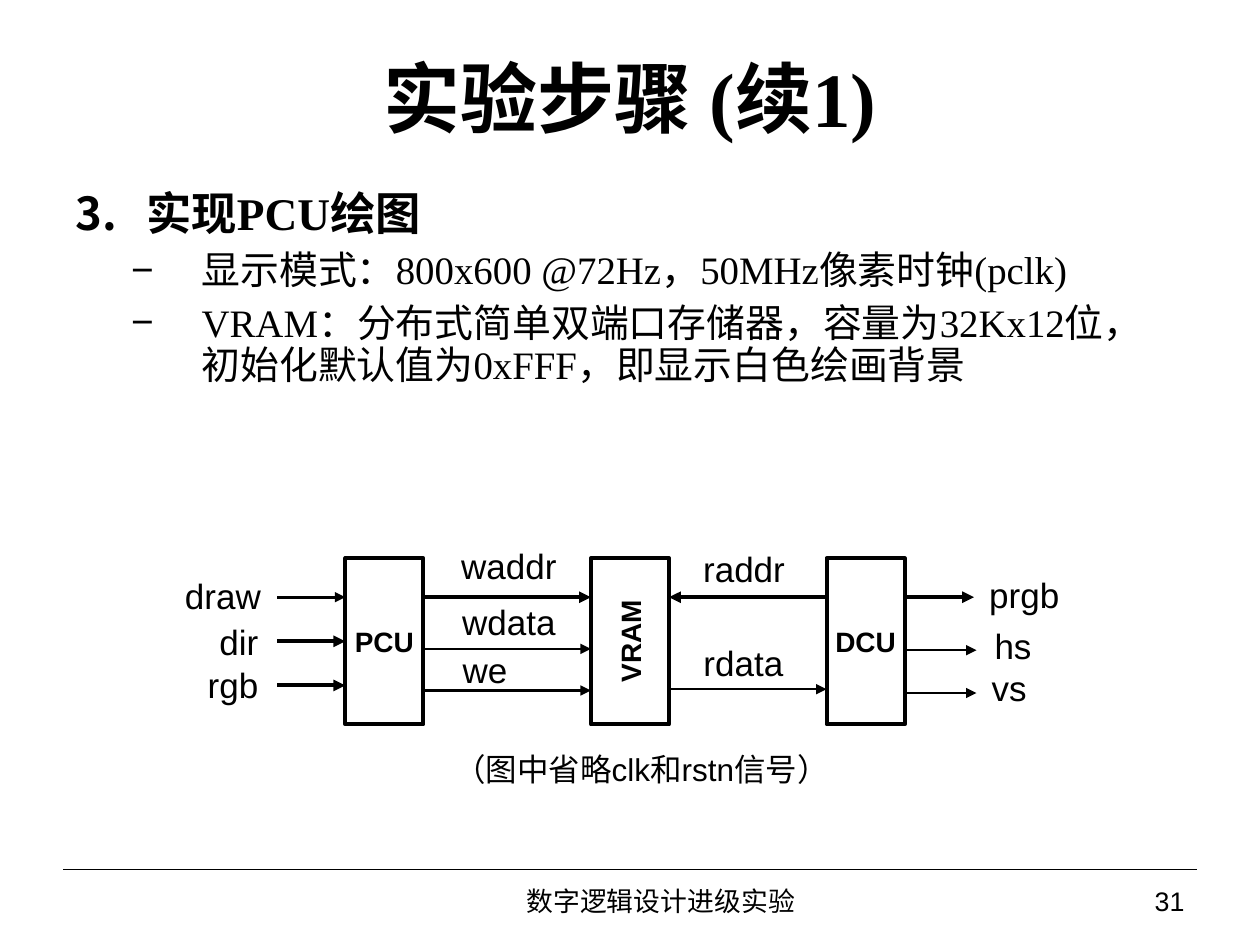
from dataclasses import dataclass

from lxml.etree import SubElement
from pptx import Presentation
from pptx.dml.color import RGBColor
from pptx.enum.shapes import MSO_CONNECTOR, MSO_SHAPE
from pptx.enum.text import MSO_ANCHOR, MSO_AUTO_SIZE, PP_ALIGN
from pptx.oxml.ns import qn
from pptx.util import Inches, Pt

COLORS = {"ink": "000000", "paper": "FFFFFF"}
SLIDE_WIDTH, SLIDE_HEIGHT = Inches(10), Inches(7.5)
GRID_COLUMNS, GRID_ROWS = 100, 75
BLOCK_TOP, BLOCK_WIDTH, BLOCK_HEIGHT = 44.3, 6.2, 13.2
BUS, SIGNAL = 2.25, 1.5
STEP_INDENT = 0.56


@dataclass(frozen=True)
class Block:
    """A hardware module of the diagram."""
    name: str
    left: float
    upright: bool = False

    @property
    def right(self) -> float:
        return self.left + BLOCK_WIDTH


@dataclass(frozen=True)
class Wire:
    """A signal arrow running along one row."""
    start: float
    end: float
    row: float
    weight: float = SIGNAL


@dataclass(frozen=True)
class Label:
    """A signal name in its cell of the grid."""
    name: str
    left: float
    top: float
    width: float = 4
    size: float = 20


@dataclass(frozen=True)
class Step:
    """A line of the procedure with its bullet."""
    wording: str
    level: int
    size: float
    bullet: tuple


PCU = Block("PCU", 27.4)
VRAM = Block("VRAM", 46.9, upright=True)
DCU = Block("DCU", 65.6)
MIDDLE_ROW = BLOCK_TOP + BLOCK_HEIGHT / 2
DIR_WIRE = Wire(22, PCU.left, MIDDLE_ROW, BUS)
WIRES = [
    Wire(22, PCU.left, 47.4),
    Wire(22, PCU.left, 54.4, BUS),
    Wire(PCU.right, VRAM.left, 47.4, BUS),
    Wire(PCU.right, VRAM.left, 51.5),
    Wire(PCU.right, VRAM.left, 54.8),
    Wire(DCU.left, VRAM.right, 47.4, BUS),
    Wire(VRAM.right, DCU.left, 54.7),
    Wire(DCU.right, 77.3, 47.4, BUS),
    Wire(DCU.right, 77.5, 51.6),
    Wire(DCU.right, 77.5, 55),
]
LABELS = [
    Label("draw", 15.7, 45.6),
    Label("dir", 17.4, 49.2, 3.1),
    Label("rgb", 16.5, 52.6),
    Label("waddr", 36.6, 43.2, 7.6),
    Label("wdata", 36.7, 47.6, 7.4),
    Label("we", 36.5, 51.4),
    Label("raddr", 55.8, 43.4, 6.5),
    Label("rdata", 55.8, 50.9, 6.4),
    Label("prgb", 78.5, 45.5, 5.6),
    Label("hs", 78.4, 49.5),
    Label("vs", 78.1, 52.9),
    Label("（图中省略clk和rstn信号）", 35, 59.3, 31.8, 18),
]
NUMBER_THREE = ("a:buAutoNum", {"type": "arabicPeriod", "startAt": "3"})
DASH = ("a:buChar", {"char": "−"})
STEPS = [
    Step("实现PCU绘图", 0, 25.9, NUMBER_THREE),
    Step("显示模式：800x600 @72Hz，50MHz像素时钟(pclk)", 1, 22.2, DASH),
    Step("VRAM：分布式简单双端口存储器，容量为32Kx12位，"
         "初始化默认值为0xFFF，即显示白色绘画背景", 1, 22.2, DASH),
]


def across(columns: float) -> int:
    """Turn grid columns into a length."""
    return round(SLIDE_WIDTH * columns / GRID_COLUMNS)


def down(rows: float) -> int:
    """Turn grid rows into a length."""
    return round(SLIDE_HEIGHT * rows / GRID_ROWS)


def cell(left: float, top: float, width: float, height: float) -> tuple:
    """Return the position and size of a grid area."""
    return across(left), down(top), across(width), down(height)


def ink() -> RGBColor:
    """Return the colour of text and lines."""
    return RGBColor.from_string(COLORS["ink"])


def write(paragraph, wording: str, *, size: float, font: str = "Arial",
          bold: bool = False, align=PP_ALIGN.CENTER, spacing: float = 1) -> None:
    """Fill a paragraph with formatted text."""
    paragraph.alignment = align
    paragraph.line_spacing = spacing
    run = paragraph.add_run()
    run.text = wording
    run.font.size, run.font.name, run.font.bold = Pt(size), font, bold
    run.font.color.rgb = ink()


def prepare(frame, *, inset: float = 0, wrap: bool = True,
            anchor=MSO_ANCHOR.MIDDLE) -> None:
    """Set the margins, wrapping and anchor of a text frame."""
    frame.auto_size = MSO_AUTO_SIZE.NONE
    frame.word_wrap, frame.vertical_anchor = wrap, anchor
    frame.margin_left = frame.margin_right = Inches(inset)
    frame.margin_top = frame.margin_bottom = Inches(inset / 2)


def place(shape, area: tuple) -> None:
    """Move a placeholder to a grid area."""
    shape.left, shape.top, shape.width, shape.height = area


def draw_line(shapes, wire: Wire, arrow: bool = True):
    """Draw a horizontal line, with an arrowhead if asked."""
    line = shapes.add_connector(MSO_CONNECTOR.STRAIGHT, across(wire.start),
                                down(wire.row), across(wire.end), down(wire.row))
    line.line.color.rgb = ink()
    line.line.width = Pt(wire.weight)
    if arrow:
        SubElement(line.line._get_or_add_ln(), qn("a:tailEnd"), type="triangle")
    SubElement(line._element.spPr, qn("a:effectLst"))
    return line


def draw_block(shapes, block: Block):
    """Draw a module with its name inside."""
    module = shapes.add_shape(MSO_SHAPE.RECTANGLE, *cell(
        block.left, BLOCK_TOP, BLOCK_WIDTH, BLOCK_HEIGHT))
    module.shadow.inherit = False
    module.fill.background()
    module.line.color.rgb = ink()
    module.line.width = Pt(BUS)
    prepare(module.text_frame, wrap=block.upright)
    if block.upright:
        module.text_frame._txBody.bodyPr.set("vert", "vert270")
    write(module.text_frame.paragraphs[0], block.name, size=16, bold=True)
    return module


def draw_label(shapes, label: Label) -> None:
    """Draw a signal name."""
    frame = shapes.add_textbox(*cell(label.left, label.top, label.width, 3.4)).text_frame
    prepare(frame, wrap=False)
    write(frame.paragraphs[0], label.name, size=label.size)


def draw_footer(shapes, wording: str, left: float, width: float, align) -> None:
    """Draw one part of the footer."""
    frame = shapes.add_textbox(*cell(left, 69.8, width, 3.7)).text_frame
    prepare(frame, inset=0.1)
    write(frame.paragraphs[0], wording, size=15.3, align=align, spacing=0.9)


def write_steps(frame, steps: list[Step]) -> None:
    """Write the bulleted procedure."""
    prepare(frame, inset=0.1, anchor=MSO_ANCHOR.TOP)
    for index, step in enumerate(steps):
        paragraph = frame.add_paragraph() if index else frame.paragraphs[0]
        paragraph.level = step.level
        properties = paragraph._p.get_or_add_pPr()
        properties.set("marL", str(Inches(1 if step.level else STEP_INDENT)))
        properties.set("indent", str(-Inches(STEP_INDENT)))
        tag, attributes = step.bullet
        SubElement(properties, qn(tag), attributes)
        paragraph.space_before, paragraph.space_after = Pt(0), Pt(6)
        write(paragraph, step.wording, size=step.size, font="Times New Roman",
              bold=step.level == 0, align=PP_ALIGN.LEFT, spacing=0.9)


def main() -> None:
    """Build the slide and save it."""
    deck = Presentation()
    deck.slide_width, deck.slide_height = SLIDE_WIDTH, SLIDE_HEIGHT
    slide = deck.slides.add_slide(deck.slide_layouts[1])
    slide.background.fill.solid()
    slide.background.fill.fore_color.rgb = RGBColor.from_string(COLORS["paper"])
    title, procedure = slide.placeholders
    place(title, cell(5, 3, 90, 9.3))
    prepare(title.text_frame, inset=0.1)
    write(title.text_frame.paragraphs[0], "实验步骤 (续1)", size=44,
          font="Times New Roman", bold=True)
    place(procedure, cell(5, 14.7, 87.5, 21.5))
    write_steps(procedure.text_frame, STEPS)

    diagram = slide.shapes.add_group_shape().shapes
    modules = {block: draw_block(diagram, block) for block in (PCU, VRAM, DCU)}
    for wire in WIRES:
        draw_line(diagram, wire)
    draw_line(diagram, DIR_WIRE).end_connect(modules[PCU], 1)
    for label in LABELS:
        draw_label(diagram, label)

    draw_line(slide.shapes, Wire(5, 95, 69, 0.75), arrow=False)
    draw_footer(slide.shapes, "数字逻辑设计进级实验", 28.3, 48.3, PP_ALIGN.CENTER)
    draw_footer(slide.shapes, "31", 77.5, 17.5, PP_ALIGN.RIGHT)
    deck.save("out.pptx")


if __name__ == "__main__":
    main()
